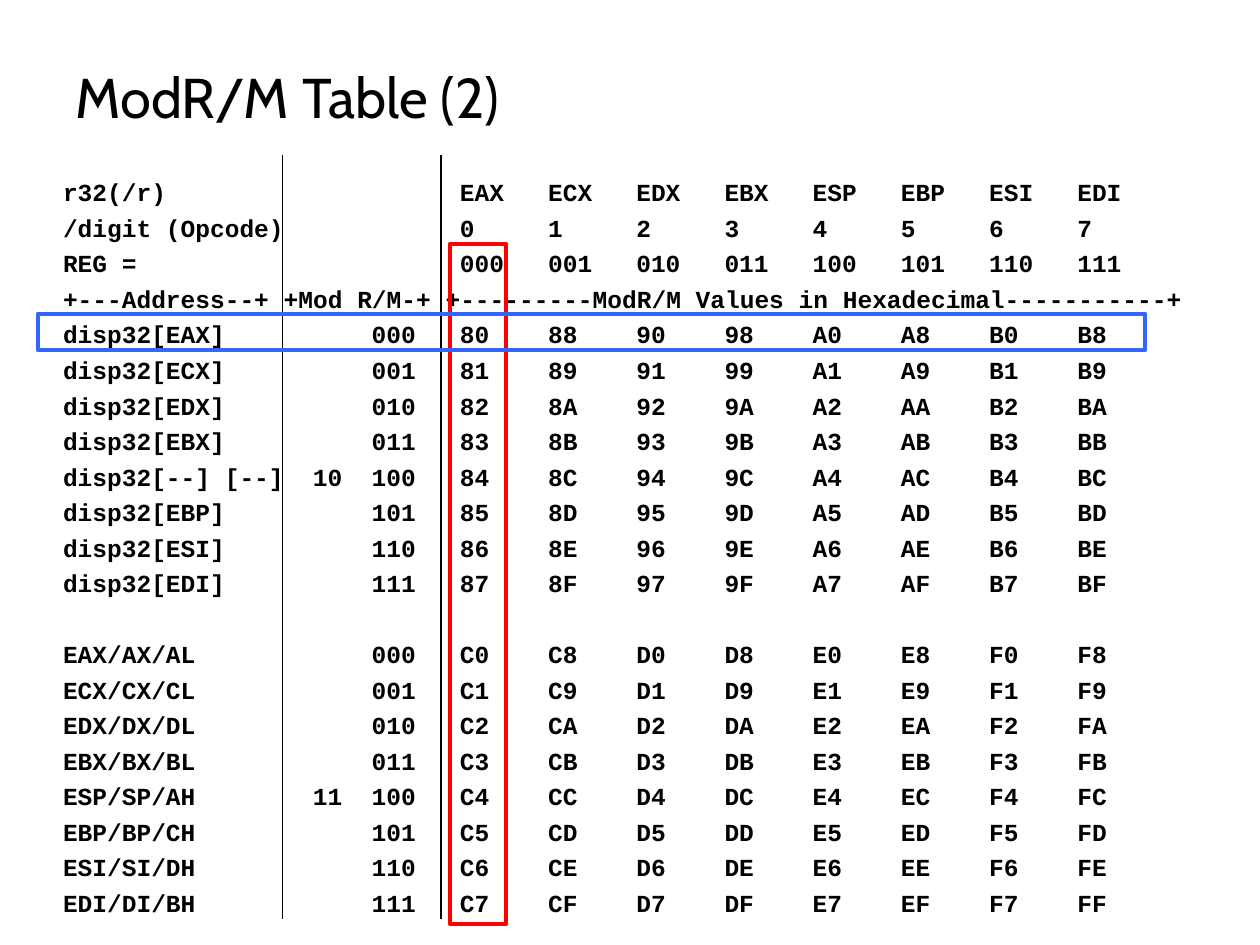
from lxml import etree
from pptx import Presentation
from pptx.dml.color import RGBColor
from pptx.enum.shapes import MSO_CONNECTOR, MSO_SHAPE
from pptx.enum.text import MSO_ANCHOR
from pptx.oxml.ns import qn
from pptx.util import Inches, Pt

RECTANGLE = MSO_SHAPE.RECTANGLE
STRAIGHT = MSO_CONNECTOR.STRAIGHT
MIDDLE = MSO_ANCHOR.MIDDLE

COLORS = {"ink": "000000", "column": "FF0000", "row": "3366FF"}
REGISTERS = ["EAX", "ECX", "EDX", "EBX", "ESP", "EBP", "ESI", "EDI"]
DISPLACEMENTS = [f"disp32[{name}]" for name in REGISTERS]
DISPLACEMENTS[4] = "disp32[--] [--]"
OPERANDS = ["EAX/AX/AL", "ECX/CX/CL", "EDX/DX/DL", "EBX/BX/BL",
            "ESP/SP/AH", "EBP/BP/CH", "ESI/SI/DH", "EDI/DI/BH"]
RULER = "+---Address--+ +Mod R/M-+ +---------ModR/M Values in Hexadecimal-----------+"
MOD_LABEL_ROW = 4


class GridSlide:
    """Measures in columns (one code character) and rows (one code line)."""
    LEFT, TOP = Inches(0.5), Inches(1.39)
    COLUMN, GAP, LINE = Pt(8.4), Pt(3.5), Pt(16.8)
    ROW = GAP + LINE
    CODE_FONT, TITLE_FONT = "Courier New", "Cabin"

    def __init__(self, slide):
        self.shapes = slide.shapes

    def x(self, column):
        return round(self.LEFT + column * self.COLUMN)

    def y(self, row):
        return round(self.TOP + row * self.ROW)

    def area(self, column, row, columns, rows):
        return (self.x(column), self.y(row),
                round(columns * self.COLUMN), round(rows * self.ROW))

    def style(self, paragraph, font_name, size, bold=False):
        for run in paragraph.runs:
            run.font.name, run.font.size, run.font.bold = font_name, Pt(size), bold
            run.font.color.rgb = RGBColor.from_string(COLORS["ink"])

    def title(self, text, *area):
        frame = self.shapes.add_textbox(*self.area(*area)).text_frame
        frame.word_wrap, frame.vertical_anchor = True, MIDDLE
        frame.text = text
        self.style(frame.paragraphs[0], self.TITLE_FONT, 32)

    def listing(self, groups, stops, *area):
        """Write groups of tabbed lines, one free row between groups."""
        frame = self.shapes.add_textbox(*self.area(*area)).text_frame
        frame.word_wrap = True
        frame.margin_left = frame.margin_right = frame.margin_bottom = 0
        frame.margin_top = Pt(1.3)
        paragraph = frame.paragraphs[0]
        for group_index, group in enumerate(groups):
            for line_index, line in enumerate(group):
                if group_index or line_index:
                    paragraph = frame.add_paragraph()
                    new_group = line_index == 0
                    paragraph.space_before = self.GAP + new_group * self.ROW
                self.tab_stops(paragraph, stops)
                paragraph.line_spacing = self.LINE
                paragraph.text = line
                self.style(paragraph, self.CODE_FONT, 14, bold=True)

    def tab_stops(self, paragraph, stops):
        properties = paragraph._p.get_or_add_pPr()
        tabs = etree.SubElement(properties, qn("a:tabLst"))
        for stop in stops:
            etree.SubElement(tabs, qn("a:tab"), pos=str(stop * self.COLUMN), algn="l")

    def divider(self, column, first_row, last_row):
        line = self.shapes.add_connector(
            STRAIGHT, self.x(column), self.y(first_row), self.x(column), self.y(last_row))
        line.line.color.rgb = RGBColor.from_string(COLORS["ink"])
        line.line.width = Pt(0.75)
        etree.SubElement(line._element.spPr, qn("a:effectLst"))

    def highlight(self, color, *area):
        frame = self.shapes.add_shape(RECTANGLE, *self.area(*area))
        frame.shadow.inherit = False
        frame.fill.background()
        frame.line.color.rgb = RGBColor.from_string(COLORS[color])
        frame.line.width = Pt(2.25)


def heading(label, values):
    return "\t".join([label, "", "", *values])


def encodings(mod, addresses):
    """One line per R/M code; each value packs mod, reg and r/m bits."""
    lines = []
    for rm, address in enumerate(addresses):
        mod_label = f"{mod:02b}" if rm == MOD_LABEL_ROW else ""
        values = [f"{mod << 6 | reg << 3 | rm:02X}" for reg in range(8)]
        lines.append("\t".join([address, mod_label, f"{rm:03b}", *values]))
    return lines


def main():
    presentation = Presentation()
    presentation.slide_width, presentation.slide_height = Inches(10), Inches(7.5)
    page = GridSlide(presentation.slides.add_slide(presentation.slide_layouts[6]))

    headings = [
        heading("r32(/r)", REGISTERS),
        heading("/digit (Opcode)", [str(reg) for reg in range(8)]),
        heading("REG =", [f"{reg:03b}" for reg in range(8)]),
        RULER,
    ]
    value_columns = [27 + 6 * reg for reg in range(8)]
    page.listing([headings + encodings(2, DISPLACEMENTS), encodings(3, OPERANDS)],
                 [17, 21, *value_columns], 0, 0, 77.14, 20.96)
    for column in (14.91, 25.71):
        page.divider(column, -0.57, 20.93)
    page.title("ModR/M Table (2)", 0, -3.87, 77.14, 3.3)
    page.highlight("column", 26.31, 1.95, 3.86, 19.12)
    page.highlight("row", -1.71, 3.9, 75.34, 1.03)
    presentation.save("out.pptx")


if __name__ == "__main__":
    main()
